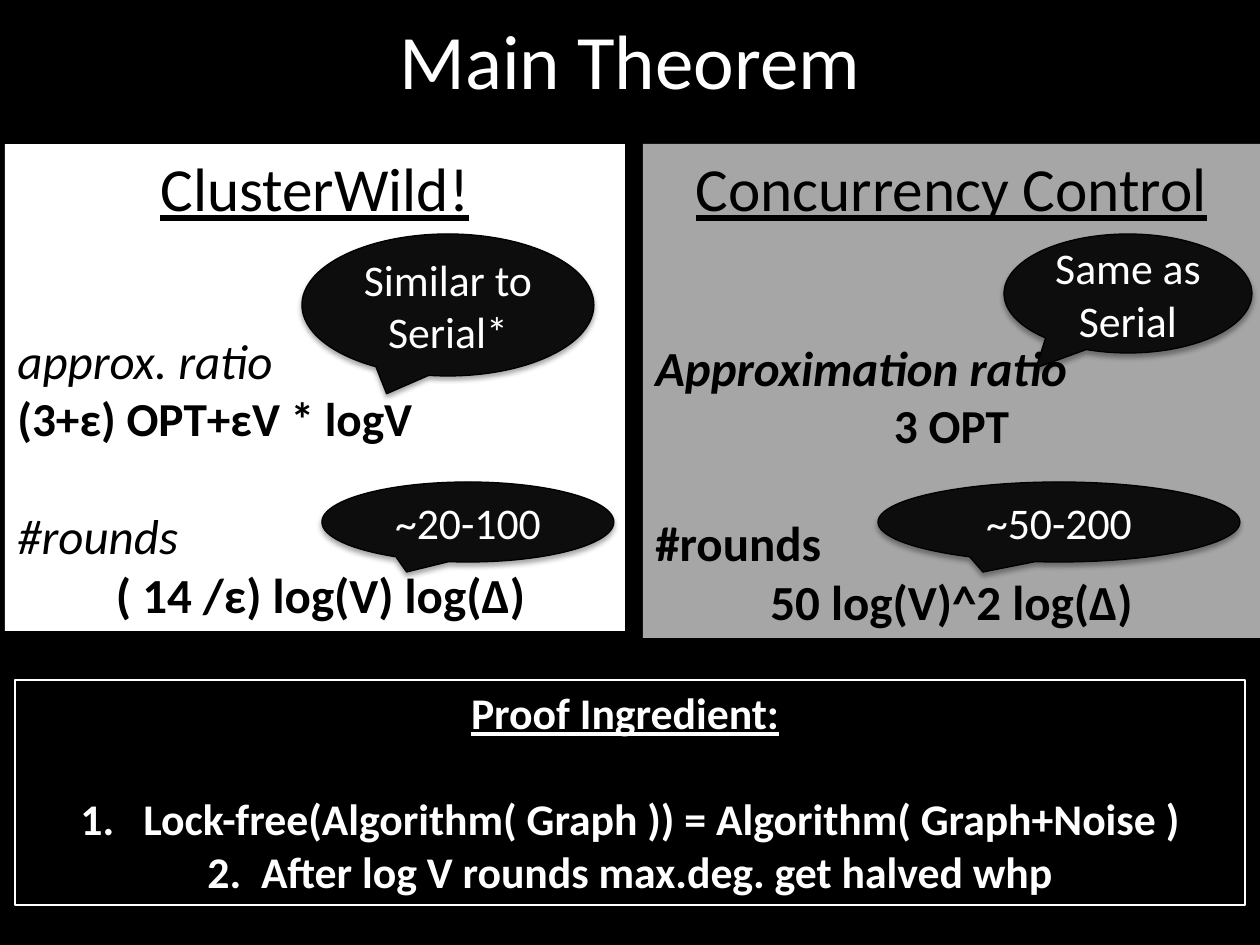
from lxml import etree
from pptx import Presentation
from pptx import util as u
from pptx.dml.color import RGBColor
from pptx.enum import shapes, text
from pptx.oxml.ns import qn

SCALE = 914400 / 126
KIND = shapes.MSO_SHAPE
LEFT, MID = text.PP_ALIGN.LEFT, text.PP_ALIGN.CENTER
WHITE, BLACK, GREY, COAL = "FFFFFF", "000000", "A6A6A6", "0D0D0D"


def px(num):
    """Turn px into EMU."""
    return u.Emu(round(num * SCALE))


def paint(item, hue):
    """Colour a fill or a font from a hex string."""
    if hasattr(item, "solid"):
        item.solid()
        item.fore_color.rgb = RGBColor.from_string(hue)
    else:
        item.color.rgb = RGBColor.from_string(hue)


def shade(shape):
    """Give a shape a soft shadow straight below it."""
    fx = shape._element.spPr.find(qn("a:effectLst"))
    drop = etree.SubElement(fx, qn("a:outerShdw"), blurRad="39400", dist="22900",
                            dir="5400000", rotWithShape="0")
    hue = etree.SubElement(drop, qn("a:srgbClr"), val=BLACK)
    etree.SubElement(hue, qn("a:alpha"), val="35000")


def block(slide, kind, box, fill, line=None):
    """Add a plain shape and return it."""
    shape = slide.shapes.add_shape(kind, *map(px, box))
    shape.shadow.inherit = False
    paint(shape.fill, fill)
    if line:
        paint(shape.line.fill, line)
        shape.line.width = u.Pt(0.75)
    else:
        shape.line.fill.background()
    shape.text_frame.word_wrap = True
    shape.text_frame.vertical_anchor = text.MSO_ANCHOR.TOP
    return shape


def write(frame, rows, hue):
    """Write rows of (words, size, style, align, gap above)."""
    for num, (words, size, style, align, gap) in enumerate(rows):
        para = frame.add_paragraph() if num else frame.paragraphs[0]
        para.alignment = align
        para.space_before = u.Pt(gap)
        run = para.add_run()
        run.text = words
        font = run.font
        font.name, font.size = "Calibri", u.Pt(size)
        font.bold, font.italic, font.underline = (key in style for key in "biu")
        paint(font, hue)


def count(para, inset):
    """Number a paragraph with a hanging indent."""
    props = para._p.get_or_add_pPr()
    props.set("marL", str(px(inset)))
    props.set("indent", str(-px(inset)))
    etree.SubElement(props, qn("a:buFont"), typeface="+mj-lt")
    etree.SubElement(props, qn("a:buAutoNum"), type="arabicPeriod")


def title(slide, box, words):
    """Place the slide title."""
    frame = slide.shapes.add_textbox(*map(px, box)).text_frame
    frame.word_wrap = True
    write(frame, [(words, 44, "", MID, 0)], WHITE)


def bubble(slide, box, words, tip=-0.21):
    """Place a speech bubble whose tip points down."""
    shape = block(slide, KIND.OVAL_CALLOUT, box, COAL, BLACK)
    shape.adjustments[0], shape.adjustments[1] = tip, 0.625
    shade(shape)
    shape.text_frame.vertical_anchor = text.MSO_ANCHOR.MIDDLE
    write(shape.text_frame, [(words, 25, "", MID, 0)], WHITE)


def panel(slide, box, fill, rows, notes):
    """Place a result panel with bubbles set relative to its corner."""
    shape = block(slide, KIND.RECTANGLE, box, fill)
    write(shape.text_frame, rows, BLACK)
    for (x, y, wide, high), *rest in notes:
        bubble(slide, (box[0] + x, box[1] + y, wide, high), *rest)


def proof(slide, box):
    """Place the framed proof box."""
    frame = block(slide, KIND.RECTANGLE, box, BLACK, WHITE).text_frame
    write(frame, [
        ("Proof Ingredient:", 25, "bu", MID, 0),
        ("Lock-free(Algorithm( Graph )) = Algorithm( Graph+Noise )", 25, "b", MID, 30.5),
        ("2.  After log V rounds max.deg. get halved whp", 25, "b", MID, 0),
    ], WHITE)
    tail = frame.paragraphs[0].add_run()
    tail.text = " "
    tail.font.size = u.Pt(25)
    count(frame.paragraphs[1], 63)


def main():
    """Build and save the slide."""
    deck = Presentation()
    deck.slide_width, deck.slide_height = px(1260), px(945)
    slide = deck.slides.add_slide(deck.slide_layouts[6])
    paint(slide.background.fill, BLACK)
    title(slide, (63, 6, 1134, 158), "Main Theorem")
    panel(slide, (5, 144, 620, 487), WHITE, [
        ("ClusterWild!", 35, "u", MID, 0),
        ("approx. ratio", 28, "i", LEFT, 61),
        ("(3+ε) OPT+εV * logV", 27, "b", LEFT, 0),
        ("#rounds", 28, "i", LEFT, 34),
        (" ( 14 /ε) log(V) log(Δ)", 28, "b", MID, 0),
    ], [
        ((297, 90, 292, 142), "Similar to Serial*"),
        ((317, 338, 292, 80), "~20-100"),
    ])
    panel(slide, (643, 144, 617, 494), GREY, [
        ("Concurrency Control", 35, "u", MID, 0),
        ("Approximation ratio", 28, "bi", LEFT, 65),
        ("3 OPT", 27, "b", MID, 0),
        ("#rounds", 28, "b", LEFT, 34),
        ("50 log(V)^2 log(Δ)", 28, "b", MID, 0),
    ], [
        ((361, 90, 248, 119), "Same as Serial", -0.37),
        ((235, 338, 362, 80), "~50-200"),
    ])
    proof(slide, (15, 680, 1230, 225))
    deck.save("out.pptx")


if __name__ == "__main__":
    main()
